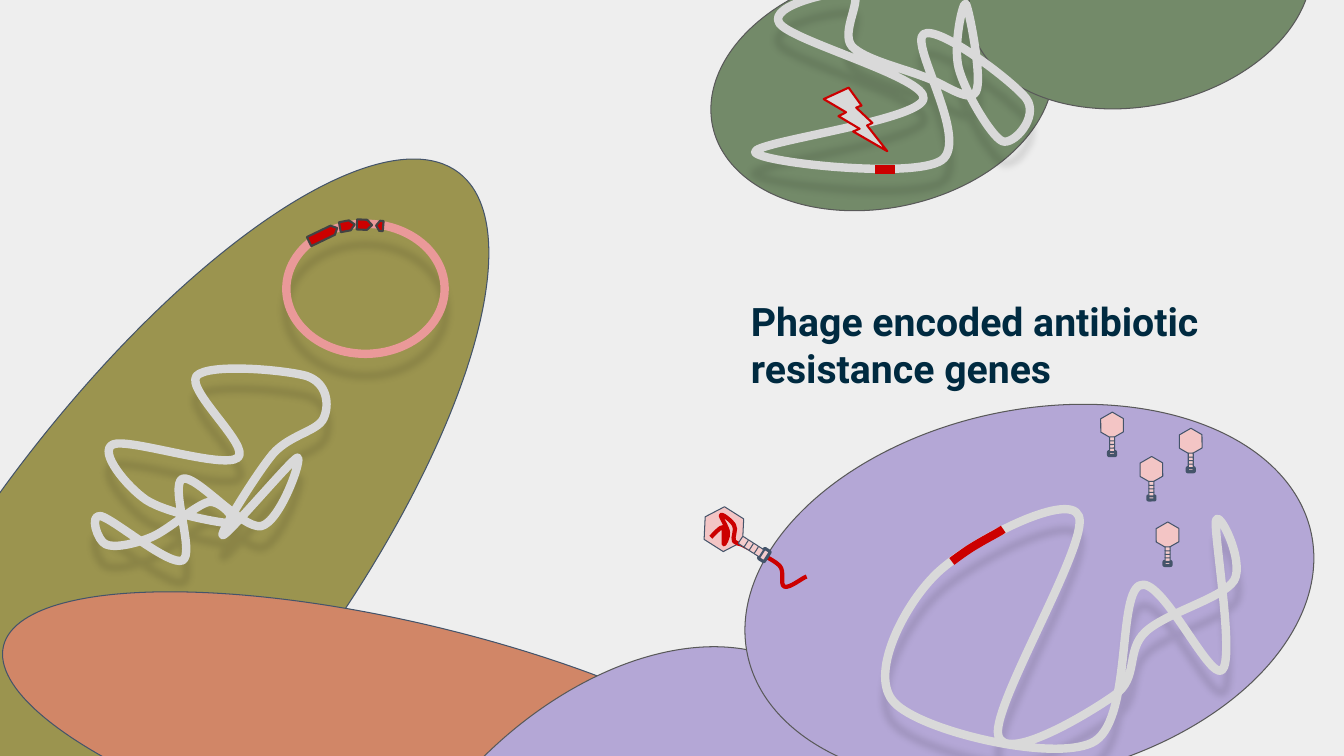
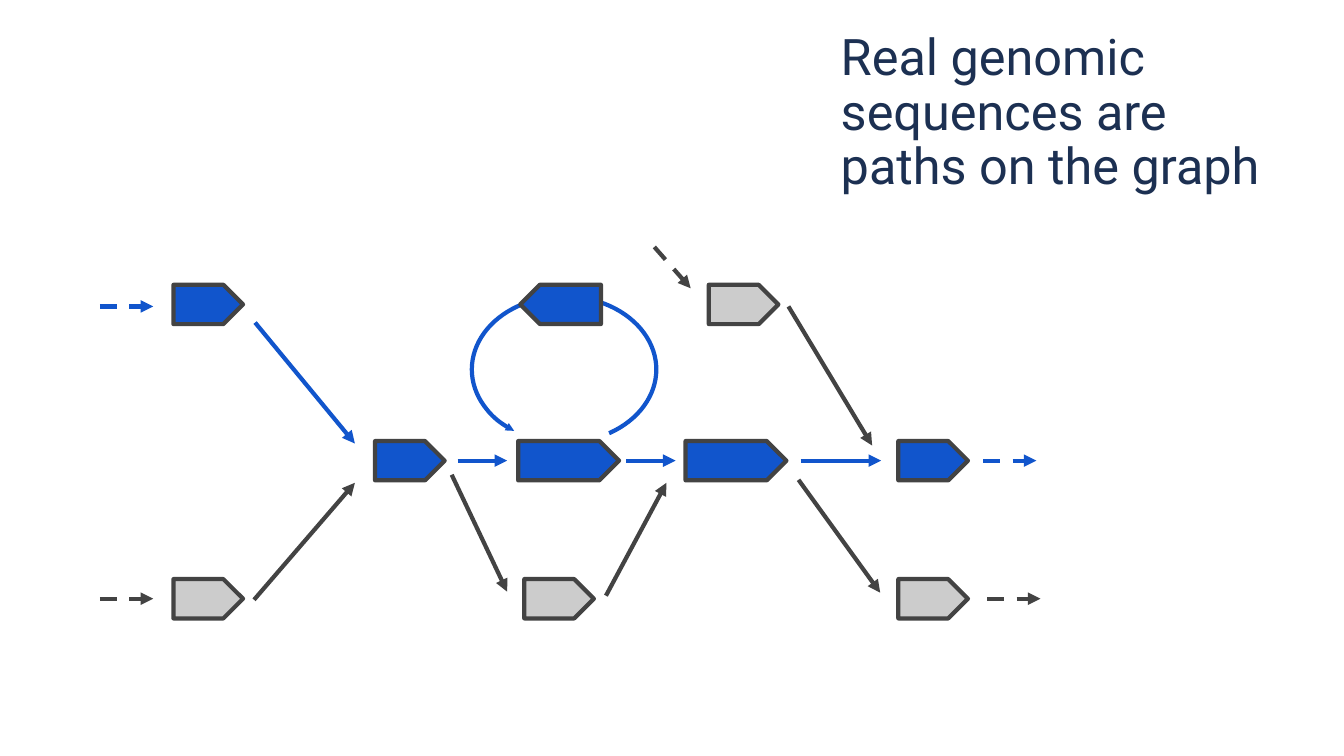
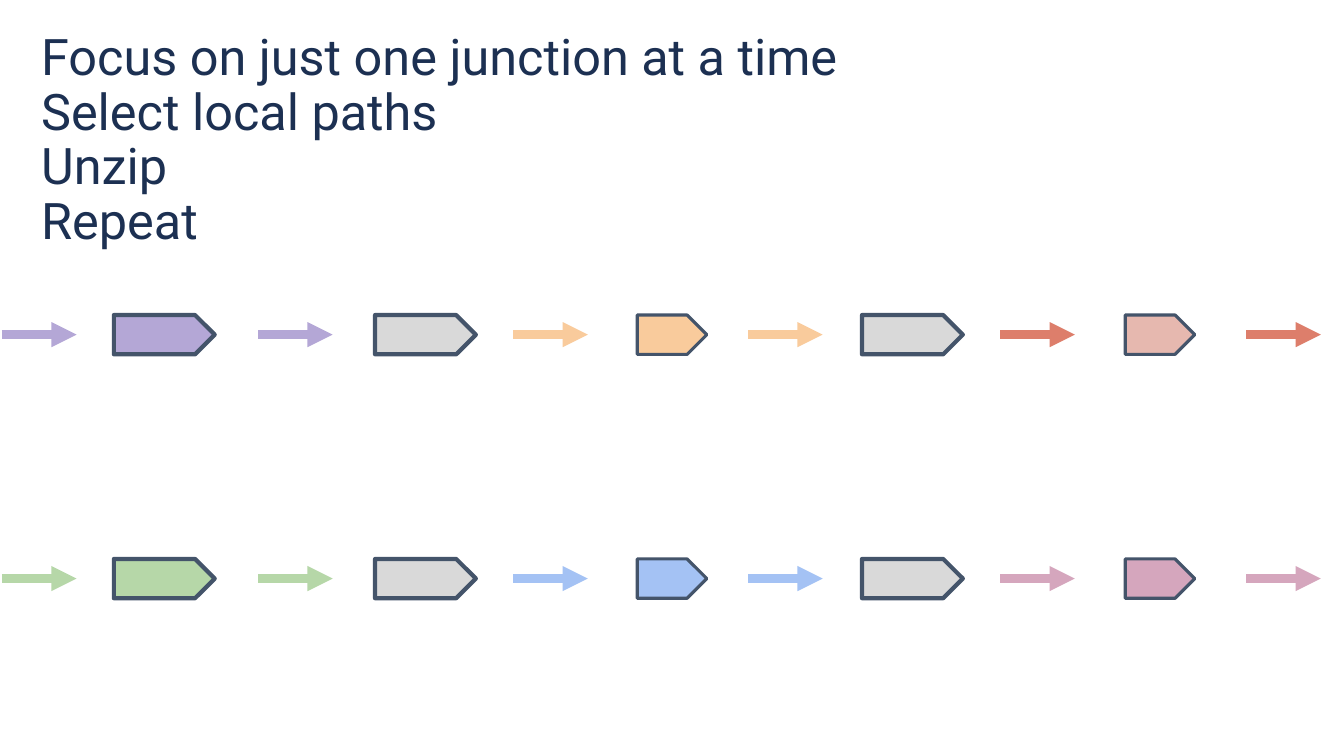
from math import cos, radians, sin

from lxml import etree
from pptx import Presentation
from pptx.dml.color import RGBColor
from pptx.enum.dml import MSO_LINE
from pptx.enum.shapes import MSO_CONNECTOR, MSO_SHAPE
from pptx.oxml.ns import qn
from pptx.util import Inches, Pt

ELLIPSE = MSO_SHAPE.OVAL
HEXAGON = MSO_SHAPE.HEXAGON
ROUNDED = MSO_SHAPE.ROUNDED_RECTANGLE
BOLT = MSO_SHAPE.LIGHTNING_BOLT
ARROW = MSO_SHAPE.RIGHT_ARROW
PENTAGON = MSO_SHAPE.PENTAGON
ARC = MSO_SHAPE.ARC
STRAIGHT = MSO_CONNECTOR.STRAIGHT
DASH = MSO_LINE.DASH

COLUMNS, ROWS = 13.33, 7.5
CELL = Inches(1)
CURVE_STEPS = 24
FONT = "Roboto"

WHITE = RGBColor(0xFF, 0xFF, 0xFF)
PALE_GREY = RGBColor(0xEE, 0xEE, 0xEE)
LIGHT_GREY = RGBColor(0xD9, 0xD9, 0xD9)
MID_GREY = RGBColor(0xCC, 0xCC, 0xCC)
GREY = RGBColor(0x59, 0x59, 0x59)
CHARCOAL = RGBColor(0x43, 0x43, 0x43)
SLATE = RGBColor(0x44, 0x54, 0x6A)
NAVY = RGBColor(0x1C, 0x30, 0x52)
INK = RGBColor(0x00, 0x2A, 0x40)
BLUE = RGBColor(0x11, 0x55, 0xCC)
SKY = RGBColor(0xA4, 0xC2, 0xF4)
OLIVE = RGBColor(0x9B, 0x94, 0x4F)
CLAY = RGBColor(0xD1, 0x86, 0x67)
LILAC = RGBColor(0xB4, 0xA7, 0xD6)
MOSS = RGBColor(0x73, 0x8A, 0x69)
MINT = RGBColor(0xB6, 0xD7, 0xA8)
PEACH = RGBColor(0xF9, 0xCB, 0x9C)
CORAL = RGBColor(0xDD, 0x7E, 0x6B)
BLUSH = RGBColor(0xE6, 0xB8, 0xAF)
MAUVE = RGBColor(0xD5, 0xA6, 0xBD)
RED = RGBColor(0xCC, 0x00, 0x00)
PINK = RGBColor(0xEA, 0x99, 0x99)
CAPSID = RGBColor(0xF3, 0xC5, 0xC5)
COLLAR = RGBColor(0xF4, 0xCC, 0xCC)

CELLS = [
    (-11.48, -7.52, 26.28, 26.28, 0, PALE_GREY, SLATE),
    (-3.48, 3.99, 10.03, 3.46, 306.9, OLIVE, SLATE),
    (-0.08, 6.19, 8.28, 2.37, 13.5, CLAY, SLATE),
    (3.21, 6.99, 5.72, 3.65, 315, LILAC, GREY),
    (7.35, 4.07, 5.72, 3.65, 347.7, LILAC, GREY),
    (7.03, -0.28, 3.44, 2.34, 347.7, MOSS, GREY),
    (9.59, -1.29, 3.44, 2.34, 347.7, MOSS, GREY),
]
OLIVE_CHROMOSOME = (1.12, 4.41), [
    (0.97, 4.48, 1.26, 4.83, 1.45, 4.96),
    (1.65, 5.09, 2.18, 5.19, 2.28, 5.19),
    (2.39, 5.2, 2.2, 4.96, 2.07, 4.98),
    (1.94, 5.01, 1.67, 5.26, 1.5, 5.33),
    (1.33, 5.4, 1.13, 5.44, 1.05, 5.4),
    (0.97, 5.37, 0.88, 5.1, 1, 5.12),
    (1.13, 5.15, 1.68, 5.62, 1.81, 5.56),
    (1.94, 5.5, 1.68, 4.81, 1.81, 4.75),
    (1.94, 4.7, 2.4, 5.25, 2.59, 5.22),
    (2.78, 5.18, 3.01, 4.53, 2.95, 4.54),
    (2.89, 4.56, 2.25, 5.32, 2.21, 5.31),
    (2.17, 5.3, 2.55, 4.69, 2.71, 4.5),
    (2.88, 4.31, 3.15, 4.28, 3.21, 4.15),
    (3.27, 4.02, 3.25, 3.8, 3.04, 3.73),
    (2.83, 3.67, 2.07, 3.6, 1.95, 3.73),
    (1.84, 3.87, 2.49, 4.43, 2.36, 4.54),
    (2.22, 4.66, 1.27, 4.34, 1.12, 4.41),
]
MOSS_CHROMOSOME = (7.73, 0.23), [
    (7.61, 0.05, 8.33, -0.11, 8.45, -0.07),
    (8.57, -0.03, 8.33, 0.32, 8.45, 0.46),
    (8.57, 0.59, 8.96, 0.68, 9.16, 0.76),
    (9.37, 0.83, 9.61, 1.03, 9.68, 0.91),
    (9.75, 0.79, 9.61, 0.08, 9.58, 0.04),
    (9.55, 0, 9.45, 0.46, 9.51, 0.68),
    (9.57, 0.91, 9.83, 1.35, 9.94, 1.4),
    (10.05, 1.45, 10.31, 1.16, 10.18, 0.98),
    (10.05, 0.81, 9.3, 0.24, 9.16, 0.34),
    (9.02, 0.44, 9.62, 1.39, 9.34, 1.59),
    (9.06, 1.78, 7.52, 1.61, 7.49, 1.51),
    (7.46, 1.41, 9.12, 1.2, 9.16, 0.98),
    (9.2, 0.77, 7.85, 0.41, 7.73, 0.23),
]
LILAC_CHROMOSOME = (9.9, 7.29), [
    (9.96, 7.59, 10.81, 7.07, 11.05, 6.9),
    (11.3, 6.73, 11.16, 6.46, 11.36, 6.27),
    (11.56, 6.08, 12.12, 5.94, 12.24, 5.76),
    (12.35, 5.57, 12.08, 5.03, 12.06, 5.17),
    (12.04, 5.32, 12.25, 6.54, 12.12, 6.65),
    (11.99, 6.75, 11.51, 5.69, 11.3, 5.81),
    (11.08, 5.93, 11.23, 7.18, 10.83, 7.37),
    (10.42, 7.56, 9.13, 7.25, 8.87, 6.97),
    (8.61, 6.7, 8.96, 6.02, 9.27, 5.71),
    (9.57, 5.4, 10.6, 4.86, 10.7, 5.12),
    (10.81, 5.38, 9.84, 6.99, 9.9, 7.29),
]
PHAGE_GENOME = (7.05, 5.33), [
    (7.07, 5.31, 7.15, 5.22, 7.17, 5.23),
    (7.19, 5.24, 7.17, 5.39, 7.18, 5.4),
    (7.18, 5.41, 7.23, 5.33, 7.22, 5.28),
    (7.22, 5.24, 7.14, 5.12, 7.15, 5.11),
    (7.16, 5.09, 7.26, 5.17, 7.28, 5.21),
    (7.31, 5.25, 7.26, 5.33, 7.28, 5.37),
    (7.3, 5.4, 7.32, 5.38, 7.39, 5.42),
    (7.46, 5.46, 7.66, 5.54, 7.73, 5.61),
    (7.79, 5.67, 7.73, 5.8, 7.78, 5.82),
    (7.83, 5.84, 7.96, 5.73, 8, 5.72),
]
INSERTED_GENE = (9.44, 5.57), [
    (9.48, 5.54, 9.6, 5.45, 9.69, 5.4),
    (9.77, 5.35, 9.91, 5.28, 9.95, 5.25),
]
PLASMID_GENES = [
    (3.05, 2.28, 0.31, 334.3),
    (3.37, 2.19, 0.15, 349.2),
    (3.54, 2.18, 0.15, 2.8),
    (3.73, 2.19, 0.07, 184.9),
]


def bezier_points(start, curves):
    points = [start]
    for x1, y1, x2, y2, x3, y3 in curves:
        x0, y0 = points[-1]
        for step in range(1, CURVE_STEPS + 1):
            t = step / CURVE_STEPS
            a, b, c, d = (1 - t) ** 3, 3 * t * (1 - t) ** 2, 3 * t * t * (1 - t), t ** 3
            points.append((a * x0 + b * x1 + c * x2 + d * x3,
                           a * y0 + b * y1 + c * y2 + d * y3))
    return points


class Deck:
    """Holds the style and the current slide, measured in one-inch grid cells."""

    def __init__(self):
        self.deck = Presentation()
        self.deck.slide_width = self.cells(COLUMNS)
        self.deck.slide_height = self.cells(ROWS)
        self.canvas = None

    def cells(self, count):
        return round(count * CELL)

    def page(self):
        page = self.deck.slides.add_slide(self.deck.slide_layouts[6])
        page.background.fill.solid()
        page.background.fill.fore_color.rgb = WHITE
        self.canvas = page.shapes

    def finish(self, shape, fill, line, weight, shadow=False):
        if fill is None:
            shape.fill.background()
        else:
            shape.fill.solid()
            shape.fill.fore_color.rgb = fill
        shape.line.color.rgb = line
        shape.line.width = Pt(weight)
        shape.shadow.inherit = False
        if shadow:
            effects = shape.element.spPr.find(qn("a:effectLst"))
            outer = etree.SubElement(
                effects, qn("a:outerShdw"), blurRad=str(Pt(4.5)), dist=str(Pt(15)),
                dir="5400000", algn="bl", rotWithShape="0")
            color = etree.SubElement(outer, qn("a:srgbClr"), val="000000")
            etree.SubElement(color, qn("a:alpha"), val="10000")
        return shape

    def arrowhead(self, shape, end, size="med"):
        outline = shape.element.spPr.find(qn("a:ln"))
        etree.SubElement(outline, qn("a:" + end), type="triangle", w=size, len=size)

    def shape(self, kind, box, fill, line, weight, rotation=0, adjust=(), shadow=False):
        shape = self.canvas.add_shape(kind, *map(self.cells, box))
        shape.rotation = rotation
        for index, value in enumerate(adjust):
            shape.adjustments[index] = value
        return self.finish(shape, fill, line, weight, shadow)

    def centred(self, kind, x, y, width, height, *style, **options):
        box = (x - width / 2, y - height / 2, width, height)
        return self.shape(kind, box, *style, **options)

    def strand(self, outline, color, weight, closed=False):
        start, curves = outline
        points = [(self.cells(x), self.cells(y)) for x, y in bezier_points(start, curves)]
        builder = self.canvas.build_freeform(*points[0])
        builder.add_line_segments(points[1:], close=False)
        shape = builder.convert_to_shape()
        trace = shape.element.spPr.find(".//" + qn("a:path"))
        for segment in trace.findall(qn("a:lnTo")):
            trace.remove(segment)
        for curve in curves:
            segment = etree.SubElement(trace, qn("a:cubicBezTo"))
            for x, y in zip(curve[::2], curve[1::2]):
                etree.SubElement(segment, qn("a:pt"), x=str(self.cells(x) - shape.left),
                                 y=str(self.cells(y) - shape.top))
        if closed:
            etree.SubElement(trace, qn("a:close"))
        self.finish(shape, None, color, weight, shadow=closed)

    def line(self, start, end, color, weight=3, dashed=False, arrow=True):
        connector = self.canvas.add_connector(STRAIGHT, *map(self.cells, start + end))
        connector.line.color.rgb = color
        connector.line.width = Pt(weight)
        if dashed:
            connector.line.dash_style = DASH
        if arrow:
            self.arrowhead(connector, "tailEnd")
        etree.SubElement(connector.element.spPr, qn("a:effectLst"))

    def gene(self, left, middle, width, fill, line, weight=3, rotation=0):
        height = 0.39
        self.shape(PENTAGON, (left, middle - height / 2, width, height),
                   fill, line, weight, rotation)

    def phage(self, x, y, scale=1, turn=0, genome=None):
        page_canvas = self.canvas
        self.canvas = page_canvas.add_group_shape().shapes
        self.centred(HEXAGON, x, y, 0.26 * scale, 0.23 * scale, CAPSID, SLATE, 0.75,
                     rotation=(30 + turn) % 360, adjust=(0.29, 1.15))
        if genome:
            self.strand(genome, RED, 3)
        rings = [(0.28, 0.07, 2.25)] + [(0.24 - 0.035 * n, 0.05, 0.75) for n in range(4)]
        for reach, width, weight in rings:
            distance = reach * scale
            self.centred(ROUNDED, x - distance * sin(radians(turn)),
                         y + distance * cos(radians(turn)), width * scale, 0.04 * scale,
                         COLLAR, SLATE, weight, rotation=turn % 360)
        self.canvas = page_canvas

    def text(self, box, lines, size, color, bold=False, inset=0.05, spacing=None):
        frame = self.canvas.add_textbox(*map(self.cells, box)).text_frame
        frame.word_wrap = True
        frame.margin_left = frame.margin_right = self.cells(0.1)
        frame.margin_top = frame.margin_bottom = self.cells(inset)
        frame.text = "\n".join(lines)
        for para in frame.paragraphs:
            para.line_spacing = spacing
            for span in para.runs:
                span.font.name = FONT
                span.font.size = Pt(size)
                span.font.bold = bold
                span.font.color.rgb = color

    def title(self, box, *lines):
        self.text(box, lines, 36, NAVY, spacing=0.9)


def phage_page(deck):
    deck.page()
    for *box, rotation, fill, line in CELLS:
        deck.shape(ELLIPSE, box, fill, line, 0.75, rotation)
    for chromosome in (OLIVE_CHROMOSOME, MOSS_CHROMOSOME, LILAC_CHROMOSOME):
        deck.strand(chromosome, LIGHT_GREY, 6, closed=True)
    deck.line((8.68, 1.68), (8.88, 1.68), RED, 6, arrow=False)
    deck.shape(BOLT, (8.17, 0.87, 0.63, 0.63), LIGHT_GREY, RED, 1.5)
    for x, y in [(11.42, 4.66), (11.81, 4.38), (11.03, 4.22), (11.58, 5.31)]:
        deck.phage(x, y)
    deck.phage(7.18, 5.25, 1.7, -57.4, PHAGE_GENOME)
    deck.shape(ELLIPSE, (2.84, 2.22, 1.57, 1.29), None, PINK, 6, shadow=True)
    for left, top, width, rotation in PLASMID_GENES:
        deck.shape(ARROW, (left, top, width, 0.1), RED, CHARCOAL, 1.5, rotation, (1, 0.5))
    deck.strand(INSERTED_GENE, RED, 6)
    deck.text((7.35, 2.85, 4.74, 1.54), ["Phage encoded antibiotic resistance genes"],
              28, INK, bold=True, inset=0.1)


def graph_page(deck):
    deck.page()
    top, middle, bottom = 3.02, 4.57, 5.94
    short, long = 0.69, 1
    loop = deck.shape(ARC, (4.68, 2.94, 1.83, 1.45), None, BLUE, 3, adjust=(77.47, 32.88))
    deck.arrowhead(loop, "headEnd", "sm")
    for left, row, width, fill in [
        (1.72, top, short, BLUE), (7.03, top, short, MID_GREY),
        (3.72, middle, short, BLUE), (5.14, middle, long, BLUE),
        (6.8, middle, long, BLUE), (8.91, middle, short, BLUE),
        (1.72, bottom, short, MID_GREY), (5.2, bottom, short, MID_GREY),
        (8.91, bottom, short, MID_GREY),
    ]:
        deck.gene(left, row, width, fill, CHARCOAL)
    deck.gene(5.16, top, 0.8, BLUE, CHARCOAL, rotation=180)
    for left, right in [(4.54, 5.03), (6.21, 6.7), (7.94, 8.74)]:
        deck.line((left, middle), (right, middle), BLUE)
    for start, end, color in [
        ((2.53, 3.2), (3.52, 4.4), BLUE),
        ((2.52, 5.95), (3.52, 4.79), CHARCOAL),
        ((4.48, 4.71), (5.03, 5.87), CHARCOAL),
        ((6.01, 5.91), (6.61, 4.79), CHARCOAL),
        ((7.82, 3.04), (8.65, 4.42), CHARCOAL),
        ((7.92, 4.76), (8.73, 5.88), CHARCOAL),
    ]:
        deck.line(start, end, color)
    for left, row, color in [(0.99, 3.04, BLUE), (0.99, bottom, CHARCOAL),
                             (9.75, middle, BLUE), (9.79, bottom, CHARCOAL)]:
        deck.line((left, row), (left + 0.53, row), color, dashed=True)
    deck.line((6.49, 2.45), (6.85, 2.86), CHARCOAL, dashed=True)
    deck.title((8.24, 0.27, 4.68, 1.77), "Real genomic sequences are paths on the graph")


def junction_page(deck):
    deck.page()
    arrow_lefts = (0.02, 2.56, 5.09, 7.42, 9.92, 12.36)
    for row, first, second, third, last in [(3.32, LILAC, PEACH, CORAL, BLUSH),
                                            (5.74, MINT, SKY, MAUVE, MAUVE)]:
        for left, width, fill, weight in [
            (1.13, 1, first, 3), (3.72, 1, LIGHT_GREY, 3), (6.32, 0.69, second, 2.25),
            (8.55, 1, LIGHT_GREY, 3), (11.16, 0.69, last, 2.25),
        ]:
            deck.gene(left, row, width, fill, SLATE, weight)
        for left, color in zip(arrow_lefts, (first, first, second, second, third, third)):
            deck.line((left, row), (left + 0.74, row), color, 6)
    deck.title((0.31, 0.27, 8.44, 3.38), "Focus on just one junction at a time",
               "Select local paths", "Unzip", "Repeat")


def main():
    deck = Deck()
    phage_page(deck)
    graph_page(deck)
    junction_page(deck)
    deck.deck.save("out.pptx")


if __name__ == "__main__":
    main()
